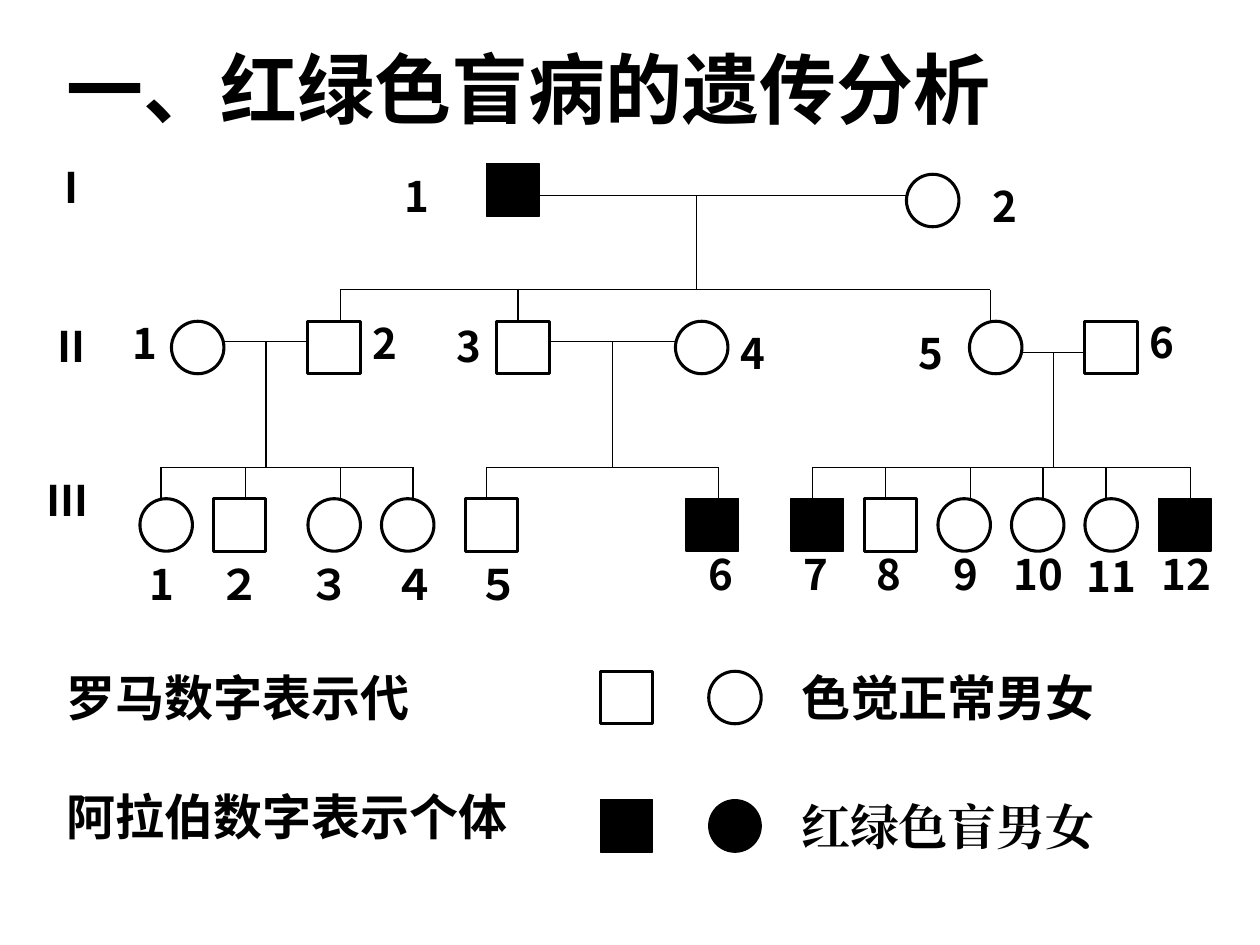
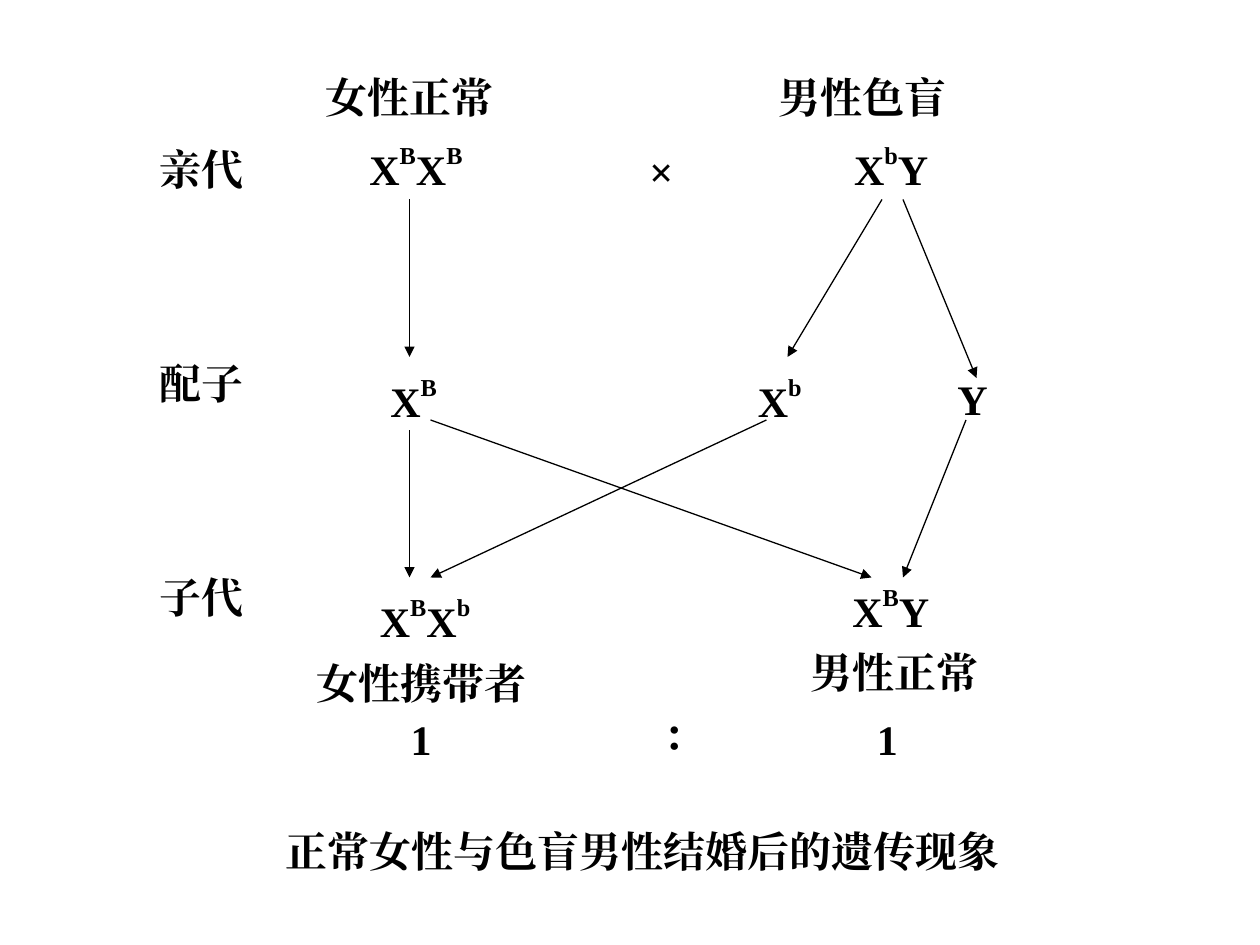
"""Two slides on red-green colour blindness: a family pedigree and a genetic cross."""
from lxml import etree
from pptx import Presentation
from pptx.dml.color import RGBColor
from pptx.enum import shapes, text
from pptx.oxml import ns
from pptx.util import Pt

BLACK = "000000"
WHITE = "FFFFFF"
SANS = "Noto Sans CJK SC"
TITLE_FONT = "Noto Sans CJK JP"
SERIF = "Times New Roman"
SIZE = 30
color = RGBColor.from_string


def add_label(page, words, left, top, size=24, font=SANS):
    """Write one line of bold text; after each | normal and raised runs alternate."""
    width = len(words) * size * 1.1 + 20
    box = page.shapes.add_textbox(Pt(left), Pt(top), Pt(width), Pt(size * 1.2 + 7.2))
    frame = box.text_frame
    frame.word_wrap = True
    frame.vertical_anchor = text.MSO_ANCHOR.MIDDLE
    para = frame.paragraphs[0]
    for index, part in enumerate(words.split("|")):
        span = para.add_run()
        span.text = part
        span.font.size = Pt(size)
        span.font.bold = True
        span.font.name = font
        span.font.color.rgb = color(BLACK)
        properties = span._r.get_or_add_rPr()
        etree.SubElement(properties, ns.qn("a:ea"), typeface=font)
        if index % 2:
            properties.set("baseline", "50000")


def add_line(page, x1, y1, x2, y2, arrow=False):
    """Draw a thin black line, with an arrowhead at its end if asked."""
    line = page.shapes.add_connector(
        shapes.MSO_CONNECTOR.STRAIGHT, Pt(x1), Pt(y1), Pt(x2), Pt(y2))
    line.line.color.rgb = color(BLACK)
    line.line.width = Pt(0.75)
    if arrow:
        etree.SubElement(line.line._get_or_add_ln(), ns.qn("a:tailEnd"), type="triangle")
    etree.SubElement(line._element.spPr, ns.qn("a:effectLst"))


deck = Presentation()
deck.slide_width = Pt(720)
deck.slide_height = Pt(540)
blank = deck.slide_layouts[6]

pedigree = deck.slides.add_slide(blank)
add_label(pedigree, "一、红绿色盲病的遗传分析", 31, 20, 44, TITLE_FONT)

for numeral, left, top in [("Ⅰ", 21.6, 88.6), ("Ⅱ", 21.6, 179.3), ("Ⅲ", 19.5, 267.8)]:
    add_label(pedigree, numeral, left, top)

couples = [(308, 518, 111.6), (128, 176, 195), (314, 386, 195), (584, 620, 201.6)]
for left, right, y in couples:
    add_line(pedigree, left, y, right, y)

sibships = [
    (398, 111.6, 165.6, [194.4, 296, 566]),
    (152, 195, 267, [92, 140.4, 194.4, 236]),
    (350, 195, 267, [278, 410.4]),
    (602, 201.6, 267, [464.4, 506, 554.4, 596, 632, 680.4]),
]
for stem, marriage, bar, children in sibships:
    add_line(pedigree, stem, marriage, stem, bar)
    add_line(pedigree, children[0], bar, children[-1], bar)
    for child in children:
        add_line(pedigree, child, bar, child, bar + 18)

MALE = shapes.MSO_SHAPE.RECTANGLE
FEMALE = shapes.MSO_SHAPE.OVAL
people = [
    (MALE, True, 278, 93.6, "1", 224, 93.6),
    (FEMALE, False, 518, 99.6, "2", 560, 99.6),
    (FEMALE, False, 98, 183.6, "1", 68.4, 178),
    (MALE, False, 176, 183.6, "2", 206, 178),
    (MALE, False, 284, 183.6, "3", 254, 179.3),
    (FEMALE, False, 386, 183.6, "4", 416, 183.6),
    (FEMALE, False, 554, 183.6, "5", 518, 183.6),
    (MALE, False, 620, 183.6, "6", 650, 177),
    (FEMALE, False, 80, 285, "1", 78.5, 315.6),
    (MALE, False, 122, 285, "２", 118, 315.6),
    (FEMALE, False, 176, 285, "３", 169, 315.6),
    (FEMALE, False, 218, 285, "４", 217.5, 315.6),
    (MALE, False, 266, 285, "５", 265.7, 315.6),
    (MALE, True, 392, 285, "6", 398, 309.6),
    (MALE, True, 452, 285, "7", 452, 309.6),
    (MALE, False, 494, 285, "8", 494, 309.6),
    (FEMALE, False, 536, 285, "9", 538, 309.6),
    (FEMALE, False, 578, 285, "10", 572, 309.6),
    (FEMALE, False, 620, 285, "11", 614, 311),
    (MALE, True, 662, 285, "12", 656.6, 309.6),
]
legend = [
    (MALE, False, 343, 383.6), (FEMALE, False, 405, 383.6),
    (MALE, True, 343, 457), (FEMALE, True, 405, 457),
]
for kind, affected, left, top, *number in people + legend:
    symbol = pedigree.shapes.add_shape(kind, Pt(left), Pt(top), Pt(SIZE), Pt(SIZE))
    symbol.shadow.inherit = False
    symbol.fill.solid()
    symbol.fill.fore_color.rgb = color(BLACK if affected else WHITE)
    symbol.line.color.rgb = color(BLACK)
    symbol.line.width = Pt(0.75 if affected else 1.75)
    if number:
        add_label(pedigree, *number)

for words, left, top, font in [
    ("罗马数字表示代", 31, 378, SANS),
    ("阿拉伯数字表示个体", 31, 446, SANS),
    ("色觉正常男女", 450.7, 378, "Roboto"),
    ("红绿色盲男女", 450.7, 451.5, SERIF),
]:
    add_label(pedigree, words, left, top, 28, font)

cross = deck.slides.add_slide(blank)
for row, generation in enumerate(["亲代", "配子", "子代"]):
    add_label(cross, generation, 84, 78.5 + row * 122.2, font=SERIF)

for words, left, top in [
    ("女性正常", 179, 37), ("男性色盲", 438, 37),
    ("X|B|X|B", 204, 77.5), ("×", 364, 79.5), ("X|b|Y", 481, 77.5),
    ("X|B", 216, 210), ("X|b", 426, 210), ("Y", 540, 210),
    ("X|B|X|b", 210, 336), ("X|B|Y", 480, 330),
    ("女性携带者", 174, 372), ("男性正常", 456, 366),
    ("1", 227.5, 404), ("：", 372, 402), ("1", 494, 404),
    ("正常女性与色盲男性结婚后的遗传现象", 156, 468),
]:
    add_label(cross, words, left, top, font=SERIF)

for ends in [
    (234, 114, 234, 204), (504, 114, 450, 204), (516, 114, 558, 216),
    (234, 246, 234, 330), (438, 240, 246, 330), (246, 240, 498, 330),
    (552, 240, 516, 330),
]:
    add_line(cross, *ends, arrow=True)

deck.save("out.pptx")
